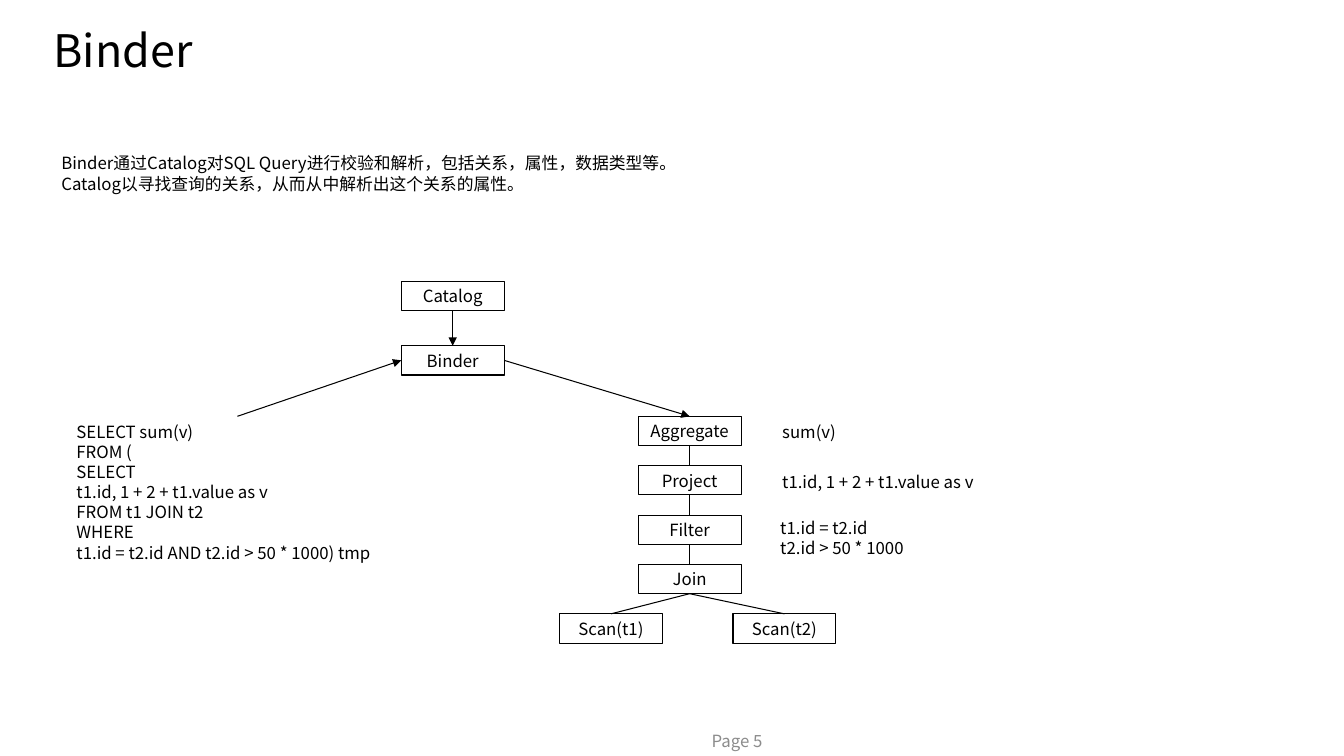
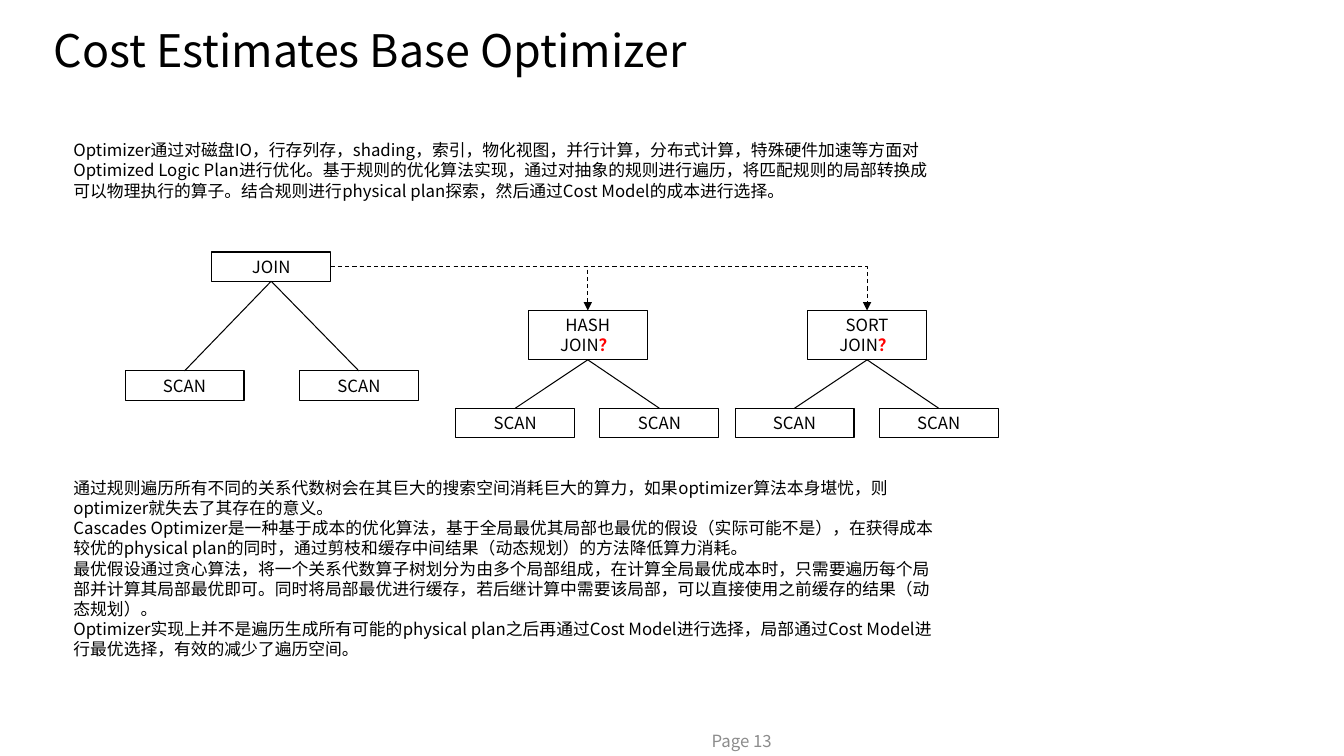
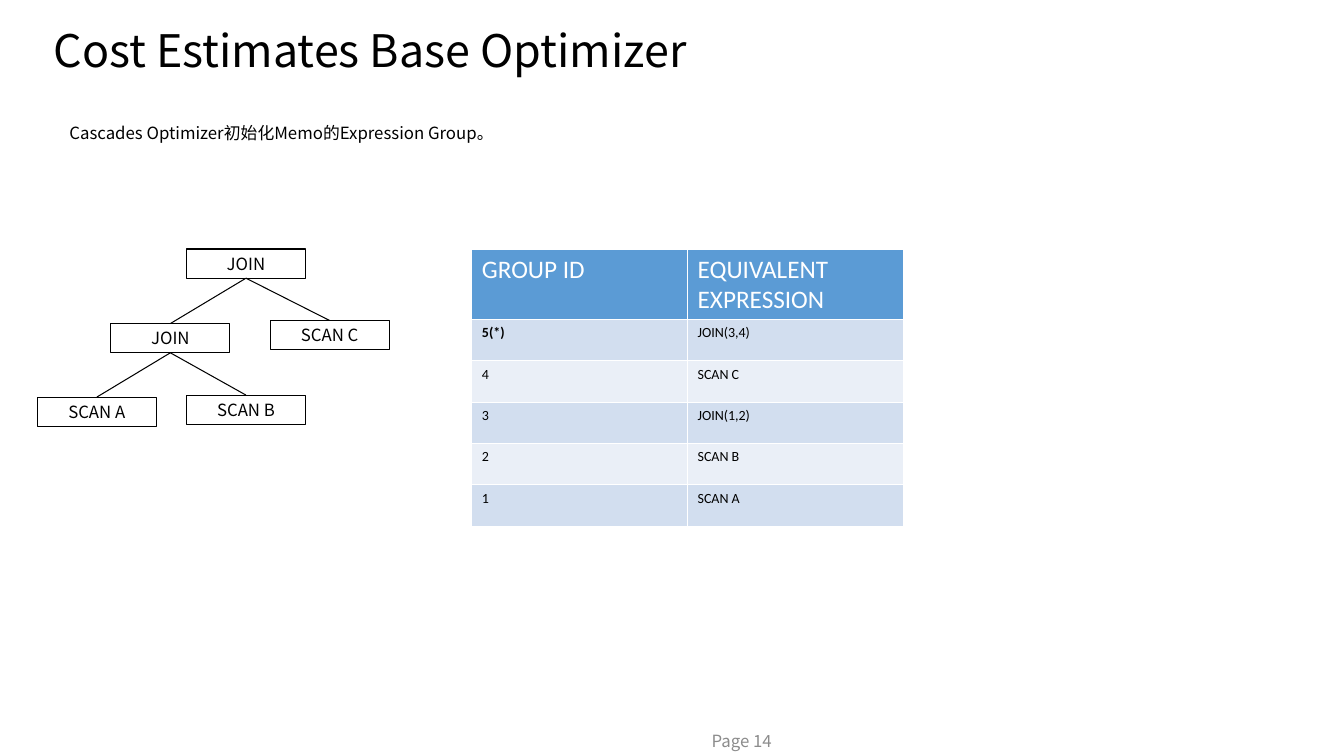
from dataclasses import dataclass, field

from lxml.etree import SubElement
from pptx import Presentation
from pptx.dml.color import RGBColor
from pptx.enum.dml import MSO_LINE
from pptx.enum.shapes import MSO_CONNECTOR, MSO_SHAPE
from pptx.enum.text import MSO_ANCHOR, MSO_AUTO_SIZE, PP_ALIGN
from pptx.oxml.ns import qn
from pptx.util import Inches, Pt

TOP, LEFT, BOTTOM, RIGHT = range(4)
SANS = "Noto Sans CJK SC"


def text_style(size, color, name=SANS, bold=False):
    """Return the format values of one kind of text."""
    return {"font": {"size": Pt(size), "name": name, "bold": bold},
            "color": RGBColor.from_string(color)}


@dataclass
class Theme:
    """Colours, type sizes and line widths shared by the slides."""
    ink: RGBColor = RGBColor(0, 0, 0)
    header_fill: RGBColor = RGBColor(0x5B, 0x9B, 0xD5)
    row_fills: tuple = (RGBColor(0xD2, 0xDE, 0xEF), RGBColor(0xEA, 0xEF, 0xF7))
    line_width: int = Pt(0.75)
    box_height: float = 0.29
    styles: dict = field(default_factory=lambda: {
        "title": text_style(32, "000000"),
        "body": text_style(12, "000000"),
        "alert": text_style(12, "FF0000", bold=True),
        "page": text_style(12, "8C8C8C"),
        "header": text_style(18, "FFFFFF", "Calibri"),
        "cell": text_style(10, "000000", "Calibri"),
        "key": text_style(10, "000000", "Calibri", bold=True),
    })


def set_values(target, values):
    """Set each named attribute of the target."""
    for name, value in values.items():
        setattr(target, name, value)


class Deck:
    """Holds the theme and the current slide, and draws the elements."""

    def __init__(self, theme):
        """Start an empty wide presentation."""
        self.theme = theme
        self.presentation = Presentation()
        set_values(self.presentation, {"slide_width": Inches(13.33),
                                       "slide_height": Inches(7.5)})
        self.slide = None

    def fill_text(self, frame, paragraphs, style, frame_format=None, paragraph_format=None):
        """Fill a text frame; a paragraph is a string or a list of (text, style) runs."""
        set_values(frame, frame_format or {})
        for index, content in enumerate(paragraphs):
            paragraph = frame.add_paragraph() if index else frame.paragraphs[0]
            set_values(paragraph, paragraph_format or {})
            runs = [(content, style)] if isinstance(content, str) else content
            for text, run_style in runs:
                run = paragraph.add_run()
                run.text = text
                values = self.theme.styles[run_style]
                set_values(run.font, values["font"])
                run.font.color.rgb = values["color"]
                east_asian = SubElement(run.font._element, qn("a:ea"))
                east_asian.set("typeface", values["font"]["name"])

    def start_slide(self, title, page):
        """Add a slide with its title and page label."""
        layout = self.presentation.slide_layouts[5]
        self.slide = self.presentation.slides.add_slide(layout)
        heading = self.slide.shapes.title
        set_values(heading, {"left": Inches(0.43), "top": Inches(0.05),
                             "width": Inches(8.47), "height": Inches(0.95)})
        self.fill_text(heading.text_frame, [title], "title",
                       {"vertical_anchor": MSO_ANCHOR.MIDDLE, "auto_size": MSO_AUTO_SIZE.NONE},
                       {"alignment": PP_ALIGN.LEFT, "line_spacing": 0.9})
        label = self.slide.shapes.add_textbox(
            Inches(6.96), Inches(7.1), Inches(2.29), Inches(0.5))
        self.fill_text(label.text_frame, [f"Page {page}"], "page",
                       {"vertical_anchor": MSO_ANCHOR.MIDDLE, "word_wrap": True})

    def text(self, left, top, width, height, paragraphs, wrap=False):
        """Add a body text box and return it."""
        shape = self.slide.shapes.add_textbox(
            Inches(left), Inches(top), Inches(width), Inches(height))
        self.fill_text(shape.text_frame, paragraphs, "body",
                       {"word_wrap": wrap, "auto_size": MSO_AUTO_SIZE.SHAPE_TO_FIT_TEXT})
        return shape

    def box(self, left, top, paragraphs, width=1.18, height=None):
        """Add an outlined process box and return it."""
        shape = self.slide.shapes.add_shape(
            MSO_SHAPE.FLOWCHART_PROCESS, Inches(left), Inches(top),
            Inches(width), Inches(height or self.theme.box_height))
        shape.shadow.inherit = False
        shape.fill.background()
        shape.line.color.rgb = self.theme.ink
        shape.line.width = self.theme.line_width
        margins = {"margin_left": Inches(0.09), "margin_right": Inches(0.09),
                   "margin_top": Inches(0.04), "margin_bottom": Inches(0.04)}
        self.fill_text(shape.text_frame, paragraphs, "body",
                       {"word_wrap": True, "vertical_anchor": MSO_ANCHOR.MIDDLE,
                        "auto_size": MSO_AUTO_SIZE.SHAPE_TO_FIT_TEXT, **margins},
                       {"alignment": PP_ALIGN.CENTER})
        return shape

    def link(self, source, target, sides=(BOTTOM, TOP), arrow=False, bent=False):
        """Connect two shapes; a bent link turns once and is dashed."""
        kind = MSO_CONNECTOR.ELBOW if bent else MSO_CONNECTOR.STRAIGHT
        connector = self.slide.shapes.add_connector(kind, 0, 0, 0, 0)
        connector.begin_connect(source, sides[0])
        connector.end_connect(target, sides[1])
        connector.line.color.rgb = self.theme.ink
        connector.line.width = self.theme.line_width
        properties = connector._element.spPr
        if bent:
            connector.line.dash_style = MSO_LINE.DASH
            properties.find(qn("a:prstGeom")).set("prst", "bentConnector2")
        if arrow:
            SubElement(properties.find(qn("a:ln")), qn("a:tailEnd")).set("type", "triangle")
        SubElement(properties, qn("a:effectLst"))

    def branch(self, parent, children):
        """Join a parent box to each box below it."""
        for child in children:
            self.link(parent, child)

    def table(self, left, top, column_width, row_height, rows):
        """Add a table with a header row and alternating row fills."""
        columns = len(rows[0])
        table = self.slide.shapes.add_table(
            len(rows), columns, Inches(left), Inches(top),
            Inches(column_width * columns), Inches(row_height * len(rows))).table
        for row_index, row in enumerate(rows):
            for column_index, content in enumerate(row):
                cell = table.cell(row_index, column_index)
                cell.fill.solid()
                cell.fill.fore_color.rgb = (self.theme.row_fills[(row_index - 1) % 2]
                                            if row_index else self.theme.header_fill)
                self.fill_text(cell.text_frame, [content], "cell" if row_index else "header")


def build_binder(deck):
    """Draw how the binder turns a query into a plan tree."""
    deck.start_slide("Binder", 5)
    deck.text(0.51, 1.47, 6.42, 0.5, [
        "Binder通过Catalog对SQL Query进行校验和解析，包括关系，属性，数据类型等。",
        "Catalog以寻找查询的关系，从而从中解析出这个关系的属性。"])
    query = deck.text(0.66, 4.13, 3.39, 1.51, [
        "SELECT sum(v)", "FROM (", "SELECT", "t1.id, 1 + 2 + t1.value as v",
        "FROM t1 JOIN t2", "WHERE", "t1.id = t2.id AND t2.id > 50 * 1000) tmp"])
    width = 1.02
    catalog = deck.box(3.98, 2.79, ["Catalog"], width)
    binder = deck.box(3.98, 3.43, ["Binder"], width)
    operators = [deck.box(6.33, 4.13 + 0.49 * index, [name], width)
                 for index, name in enumerate(["Aggregate", "Project", "Filter", "Join"])]
    scans = [deck.box(left, 6.09, [name], width)
             for left, name in [(5.55, "Scan(t1)"), (7.27, "Scan(t2)")]]
    for upper, lower in zip(operators, operators[1:]):
        deck.link(upper, lower)
    deck.branch(operators[-1], scans)
    deck.link(query, binder, (TOP, LEFT), arrow=True)
    deck.link(catalog, binder, arrow=True)
    deck.link(binder, operators[0], (RIGHT, TOP), arrow=True)
    deck.text(7.66, 4.13, 0.74, 0.3, ["sum(v)"])
    deck.text(7.66, 4.63, 2.27, 0.3, ["t1.id, 1 + 2 + t1.value as v"])
    deck.text(7.64, 5.09, 1.54, 0.5, ["t1.id = t2.id", "t2.id > 50 * 1000"])


def build_join_choice(deck):
    """Draw the physical join alternatives the optimizer compares."""
    deck.start_slide("Cost Estimates Base Optimizer", 13)
    deck.text(0.63, 1.34, 8.74, 0.71, [
        "Optimizer通过对磁盘IO，行存列存，shading，索引，物化视图，并行计算，分布式计算，"
        "特殊硬件加速等方面对Optimized Logic Plan进行优化。基于规则的优化算法实现，"
        "通过对抽象的规则进行遍历，将匹配规则的局部转换成可以物理执行的算子。"
        "结合规则进行physical plan探索，然后通过Cost Model的成本进行选择。"], wrap=True)
    logical_join = deck.box(2.1, 2.5, ["JOIN"])
    deck.branch(logical_join, [deck.box(left, 3.68, ["SCAN"]) for left in (1.24, 2.97)])
    for method, left in [("HASH", 5.24), ("SORT", 8.01)]:
        join = deck.box(left, 3.08, [method, [("JOIN", "body"), ("？", "alert")]], height=0.49)
        deck.link(logical_join, join, (RIGHT, TOP), arrow=True, bent=True)
        deck.branch(join, [deck.box(left + offset, 4.05, ["SCAN"])
                           for offset in (-0.72, 0.71)])
    deck.text(0.63, 4.69, 8.74, 1.92, [
        "通过规则遍历所有不同的关系代数树会在其巨大的搜索空间消耗巨大的算力，"
        "如果optimizer算法本身堪忧，则optimizer就失去了其存在的意义。",
        "Cascades Optimizer是一种基于成本的优化算法，基于全局最优其局部也最优的假设"
        "（实际可能不是），在获得成本较优的physical plan的同时，"
        "通过剪枝和缓存中间结果（动态规划）的方法降低算力消耗。",
        "最优假设通过贪心算法，将一个关系代数算子树划分为由多个局部组成，在计算全局最优成本时，"
        "只需要遍历每个局部并计算其局部最优即可。同时将局部最优进行缓存，"
        "若后继计算中需要该局部，可以直接使用之前缓存的结果（动态规划）。",
        "Optimizer实现上并不是遍历生成所有可能的physical plan之后再通过Cost Model进行选择，"
        "局部通过Cost Model进行最优选择，有效的减少了遍历空间。"], wrap=True)


def build_memo(deck):
    """Draw the join tree beside its memo groups."""
    deck.start_slide("Cost Estimates Base Optimizer", 14)
    deck.text(0.59, 1.17, 8.74, 0.3,
              ["Cascades Optimizer初始化Memo的Expression Group。"], wrap=True)
    root_join = deck.box(1.85, 2.47, ["JOIN"])
    inner_join = deck.box(1.1, 3.21, ["JOIN"])
    scan_a = deck.box(0.37, 3.94, ["SCAN A"])
    scan_b = deck.box(1.85, 3.92, ["SCAN B"])
    scan_c = deck.box(2.68, 3.18, ["SCAN C"])
    deck.branch(root_join, [inner_join, scan_c])
    deck.branch(inner_join, [scan_a, scan_b])
    deck.table(4.68, 2.47, 2.14, 0.41, [
        ("GROUP ID", "EQUIVALENT EXPRESSION"),
        ([("5(*)", "key")], "JOIN(3,4)"),
        ("4", "SCAN C"),
        ("3", "JOIN(1,2)"),
        ("2", "SCAN B"),
        ("1", "SCAN A")])


deck = Deck(Theme())
for build in (build_binder, build_join_choice, build_memo):
    build(deck)
deck.presentation.save("out.pptx")
